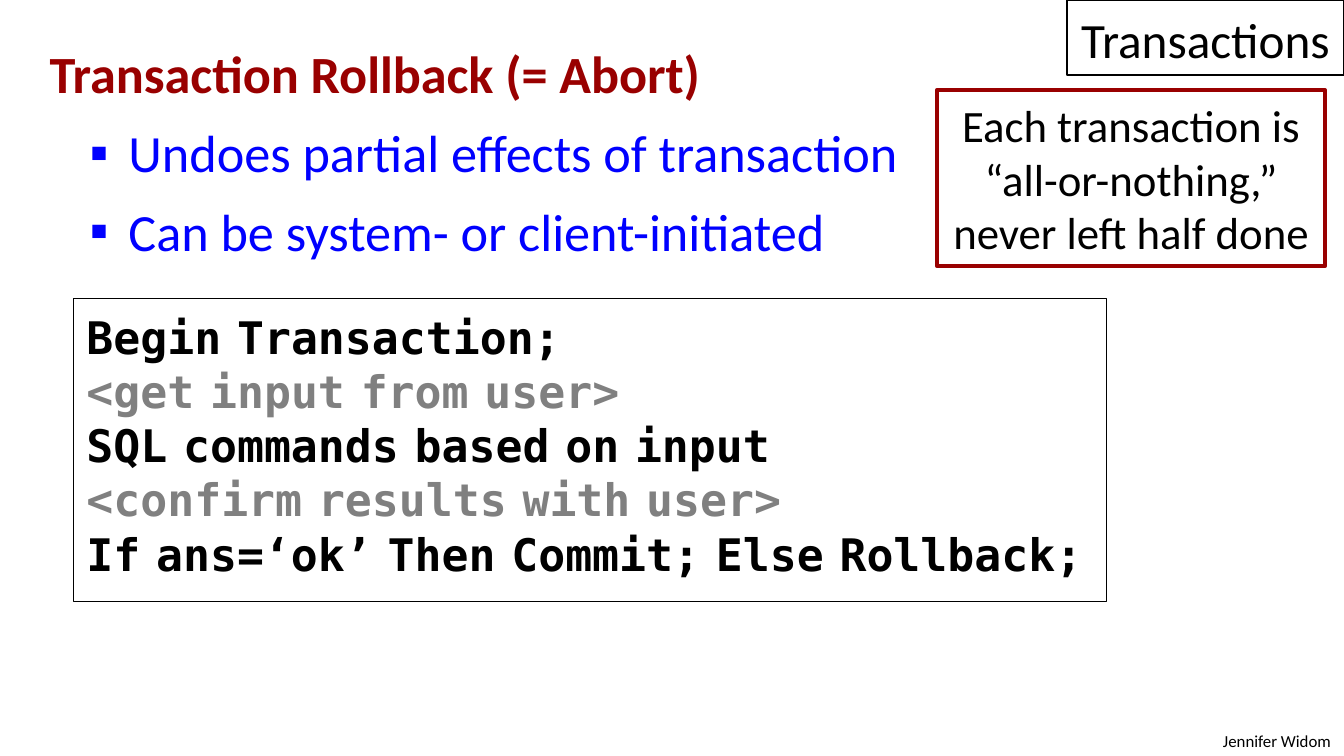
from lxml.etree import SubElement
from pptx import Presentation
from pptx.dml.color import RGBColor
from pptx.enum.shapes import MSO_SHAPE
from pptx.enum.text import MSO_ANCHOR as ANCHOR, MSO_AUTO_SIZE as FIT, PP_ALIGN as ALIGN
from pptx.oxml.ns import qn
from pptx.util import Inches, Pt

BLACK = RGBColor(0x00, 0x00, 0x00)
GRAY = RGBColor(0x80, 0x80, 0x80)
RED = RGBColor(0x99, 0x00, 0x00)
BLUE = RGBColor(0x00, 0x00, 0xFF)
SANS, MONO = "Calibri", "DejaVu Sans Mono"
CELL = Inches(0.1)
COLS, ROWS = 100, 56.25

CODE = [
    ("Begin Transaction;", BLACK),
    ("<get input from user>", GRAY),
    ("SQL commands based on input", BLACK),
    ("<confirm results with user>", GRAY),
    ("If ans=‘ok’ Then Commit; Else Rollback;", BLACK),
]


def grid(col, row, cols, rows):
    return [round(n * CELL) for n in (col, row, cols, rows)]


def style(r, size, color=BLACK, bold=False, font=SANS):
    r.font.name, r.font.size, r.font.bold = font, Pt(size), bold
    r.font.color.rgb = color


def write(p, text, size, color=BLACK, bold=False, align=ALIGN.LEFT):
    p.text = text
    p.alignment = align
    style(p.runs[0], size, color, bold)


def hang(p, left, first):
    pPr = p._p.get_or_add_pPr()
    pPr.set("marL", str(Inches(left)))
    pPr.set("indent", str(Inches(first)))
    return pPr


def add_bullet(p):
    pPr = hang(p, 0.6, -0.2)
    clr = SubElement(pPr, qn("a:buClr"))
    SubElement(clr, qn("a:srgbClr"), val=str(BLUE))
    SubElement(pPr, qn("a:buFont"), typeface=SANS)
    SubElement(pPr, qn("a:buChar"), char="▪")


def add_frame(slide, box, color, width):
    sp = slide.shapes.add_shape(MSO_SHAPE.RECTANGLE, *box)
    sp.shadow.inherit = False
    sp.fill.background()
    sp.line.color.rgb, sp.line.width = color, Pt(width)
    sp.text_frame.vertical_anchor = ANCHOR.MIDDLE
    return sp.text_frame


def add_text(slide, box):
    tf = slide.shapes.add_textbox(*box).text_frame
    tf.word_wrap = True
    return tf


def add_title(slide, box):
    sp = slide.shapes.title
    sp.left, sp.top, sp.width, sp.height = box
    sp.line.color.rgb, sp.line.width = BLACK, Pt(0.75)
    tf = sp.text_frame
    tf.auto_size = FIT.NONE
    tf.vertical_anchor = ANCHOR.BOTTOM
    write(tf.paragraphs[0], "Transactions", 26.4, align=ALIGN.CENTER)


def add_points(slide, box):
    tf = add_text(slide, box)
    p = tf.paragraphs[0]
    write(p, "Transaction Rollback (= Abort)", 28, RED, True)
    hang(p, 0.3, -0.2)
    p.line_spacing, p.space_after = 0.9, Pt(12)
    points = (" Undoes partial effects of transaction", " Can be system- or client-initiated")
    for text, before in zip(points, (0, 12)):
        p = tf.add_paragraph()
        p.level = 1
        write(p, text, 28, BLUE)
        p.line_spacing, p.space_before = 0.9, Pt(before)
        add_bullet(p)


def add_code(slide, box):
    tf = add_frame(slide, box, BLACK, 0.75)
    tf.word_wrap = True
    for i, (line, color) in enumerate(CODE):
        p = tf.add_paragraph() if i else tf.paragraphs[0]
        p.alignment = ALIGN.LEFT
        p.line_spacing, p.space_before = 0.8, Pt(6)
        hang(p, 0.38, -0.38)
        for j, word in enumerate(line.split()):
            if j:
                r = p.add_run()
                r.text = " "
                style(r, 14, color, True, MONO)
            r = p.add_run()
            r.text = word
            style(r, 24, color, True, MONO)


def add_callout(slide, box):
    tf = add_frame(slide, box, RED, 2)
    tf.word_wrap = False
    tf.auto_size = FIT.SHAPE_TO_FIT_TEXT
    lines = ("Each transaction is", "“all-or-nothing,”", "never left half done")
    for i, line in enumerate(lines):
        p = tf.add_paragraph() if i else tf.paragraphs[0]
        write(p, line, 24, align=ALIGN.CENTER)


def add_author(slide, box):
    tf = add_text(slide, box)
    tf.auto_size = FIT.SHAPE_TO_FIT_TEXT
    write(tf.paragraphs[0], "Jennifer Widom", 9, align=ALIGN.RIGHT)


def main():
    prs = Presentation()
    prs.slide_width, prs.slide_height = round(COLS * CELL), round(ROWS * CELL)
    slide = prs.slides.add_slide(prs.slide_layouts[5])
    add_author(slide, grid(COLS - 10.8, 53.9, 10.8, 2.5))
    add_title(slide, grid(COLS - 20.6, 0, 20.6, 5.6))
    add_points(slide, grid(1.7, 3.1, 90.8, 49.8))
    add_code(slide, grid(5.45, 22.2, 76.9, 22.55))
    add_callout(slide, grid(69.7, 6.7, 28.9, 13.1))
    prs.save("out.pptx")


if __name__ == "__main__":
    main()
